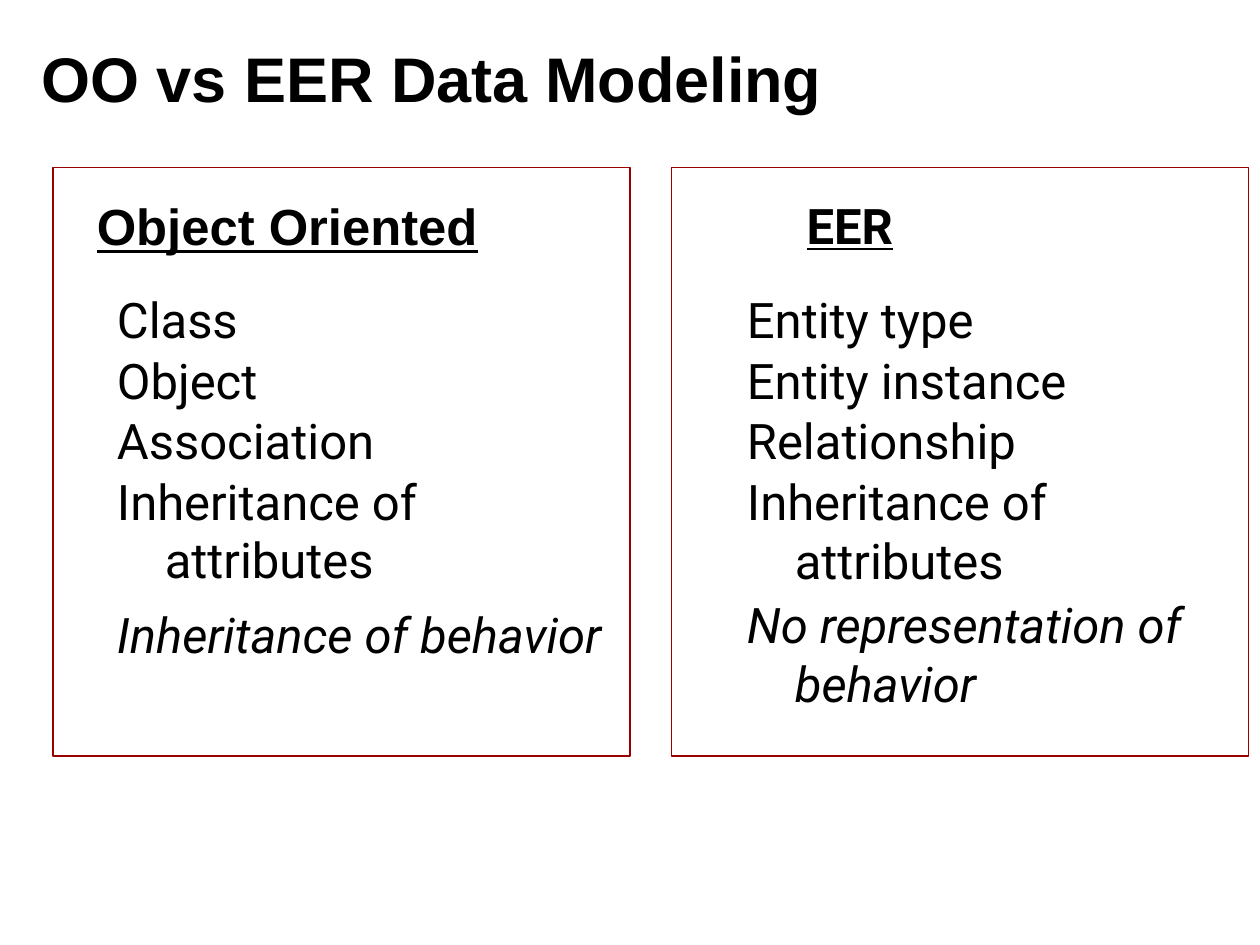
import pptx
import pptx.util
import pptx.dml.color
import pptx.enum.shapes
import pptx.enum.text

Inches, Pt = pptx.util.Inches, pptx.util.Pt
RGB = pptx.dml.color.RGBColor.from_string
ALIGN = pptx.enum.text.PP_ALIGN
COLORS = {"text": "000000", "frame": "990000"}


def set_text(sp, text, size=28, font="Roboto", bold=False, italic=False,
             underline=False, align=ALIGN.LEFT, hang=0.38,
             anchor=pptx.enum.text.MSO_ANCHOR.TOP):
    tf = sp.text_frame
    tf.word_wrap = True
    tf.auto_size = pptx.enum.text.MSO_AUTO_SIZE.NONE
    tf.vertical_anchor = anchor
    p = tf.paragraphs[0]
    p.alignment = align
    if hang:
        pPr = p._p.get_or_add_pPr()
        pPr.set("marL", str(Inches(hang)))
        pPr.set("indent", str(-Inches(hang)))
    r = p.add_run()
    r.text = text
    f = r.font
    f.name, f.size = font, Pt(size)
    f.bold, f.italic, f.underline = bold, italic, underline
    f.color.rgb = RGB(COLORS["text"])


prs = pptx.Presentation()
prs.slide_width, prs.slide_height = Inches(10), Inches(7.5)
s = prs.slides.add_slide(prs.slide_layouts[5])

# Title
title = s.shapes.title
title.left, title.top = Inches(0.23), Inches(0.15)
title.width, title.height = Inches(8.03), Inches(0.93)
set_text(title, "OO vs EER Data Modeling", size=36, font="Arial", bold=True,
         hang=0, anchor=pptx.enum.text.MSO_ANCHOR.MIDDLE)

# One column per model; the last item has its own top
columns = [
    {"frame": 0.42, "items_x": 0.83, "height": 0.67, "last_y": 4.75,
     "head": "Object Oriented", "head_x": 0.67, "head_w": 4.17,
     "head_format": {"size": 29, "font": "Arial"},
     "items": ["Class", "Object", "Association", "Inheritance of attributes",
               "Inheritance of behavior"]},
    {"frame": 5.33, "items_x": 5.83, "height": 0.78, "last_y": 4.67,
     "head": "EER", "head_x": 5.33, "head_w": 2.83,
     "head_format": {"align": ALIGN.CENTER},
     "items": ["Entity type", "Entity instance", "Relationship",
               "Inheritance of attributes", "No representation of behavior"]},
]
for col in columns:
    # Heading
    height = Inches(col["height"])
    sp = s.shapes.add_textbox(Inches(col["head_x"]), Inches(1.5),
                              Inches(col["head_w"]), height)
    set_text(sp, col["head"], bold=True, underline=True, **col["head_format"])

    # Items, evenly spaced, with the behavior item in italics
    for i, item in enumerate(col["items"]):
        last = i == len(col["items"]) - 1
        top = col["last_y"] if last else 2.25 + 0.48 * i
        width = 2.83 if i < 3 else 4.08
        sp = s.shapes.add_textbox(Inches(col["items_x"]), Inches(top),
                                  Inches(width), height)
        set_text(sp, item, italic=last)

    # Frame
    sp = s.shapes.add_shape(pptx.enum.shapes.MSO_SHAPE.RECTANGLE,
                            Inches(col["frame"]), Inches(1.33),
                            Inches(4.58), Inches(4.67))
    sp.shadow.inherit = False
    sp.fill.background()
    sp.line.color.rgb = RGB(COLORS["frame"])
    sp.line.width = Pt(1)

prs.save("out.pptx")
